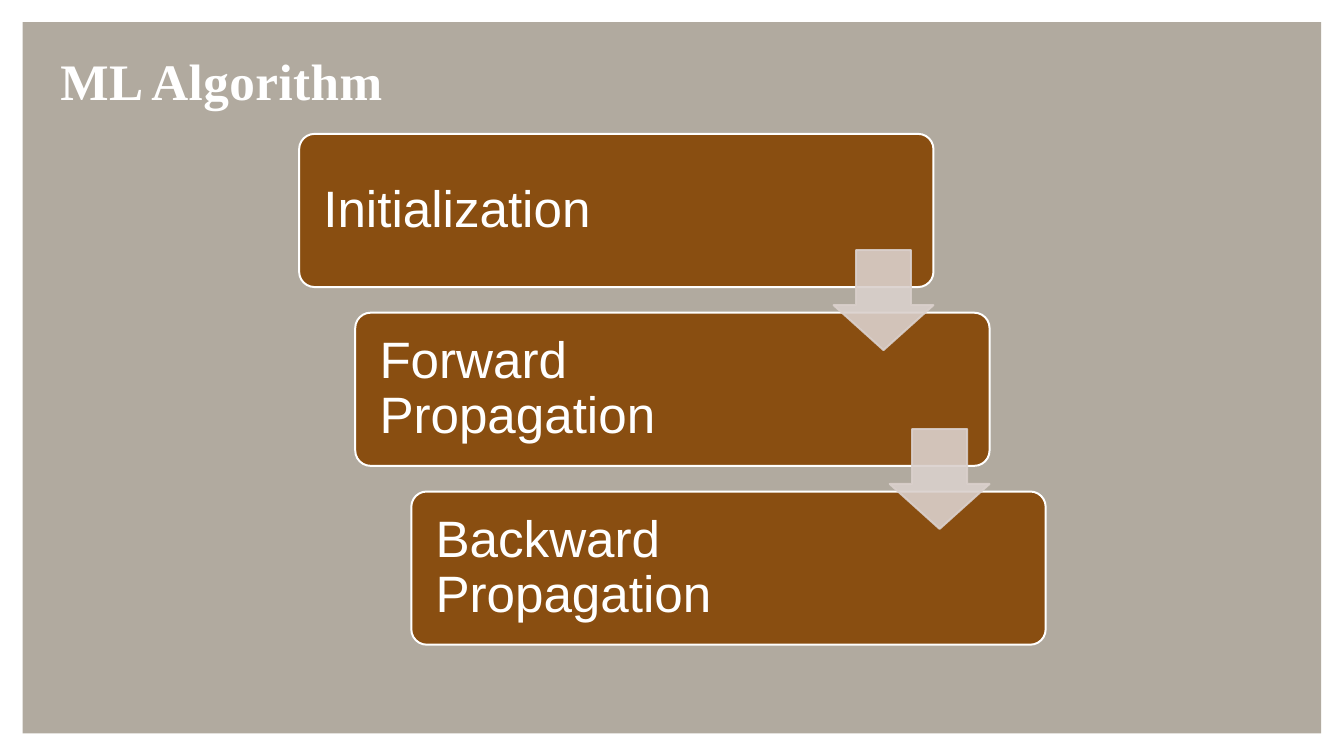
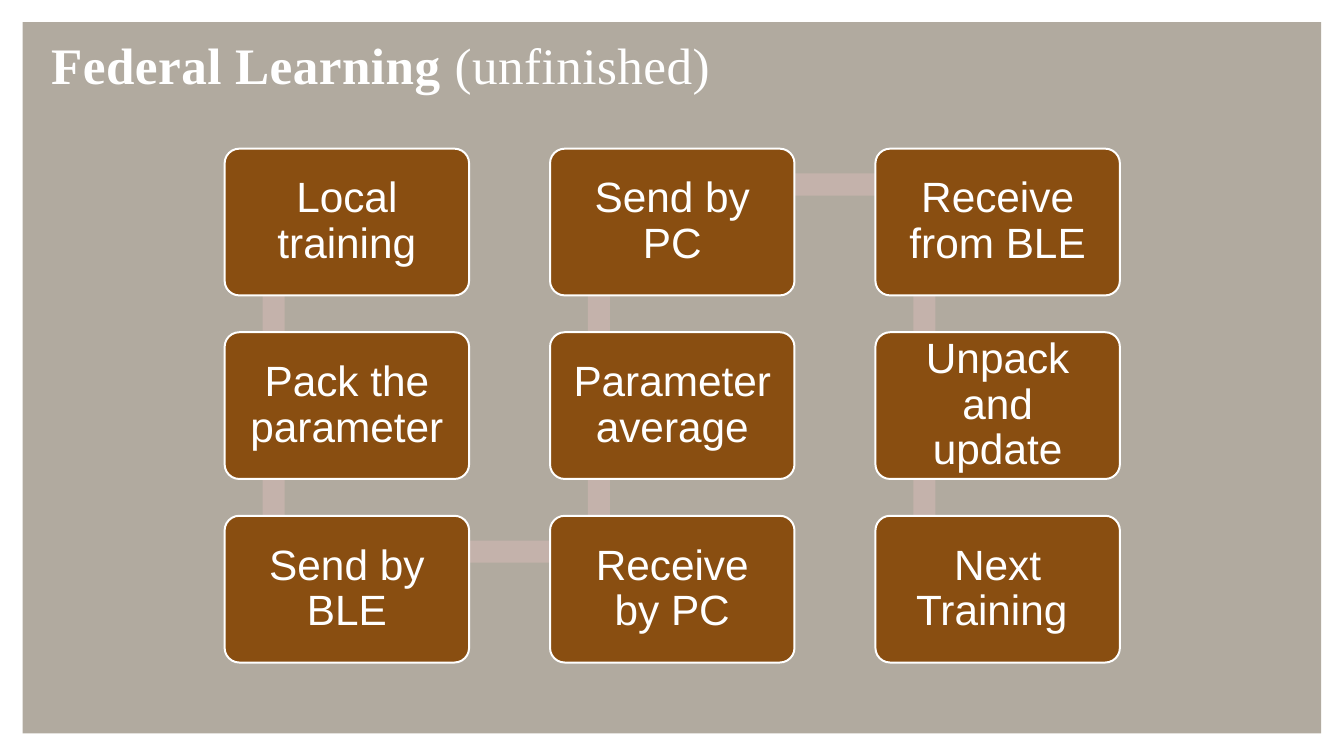
from itertools import pairwise

from lxml import etree
from pptx import Presentation
from pptx.dml.color import RGBColor
from pptx.enum import shapes, text
from pptx.oxml.ns import qn
from pptx.util import Cm, Pt

# Content
ALGORITHM_TITLE = [("ML Algorithm", True)]
ALGORITHM_STEPS = ["Initialization", "Forward Propagation", "Backward Propagation"]
LEARNING_TITLE = [("Federal Learning ", True), ("(unfinished)", False)]
LEARNING_STEPS = [
    "Local training", "Pack the parameter", "Send by BLE",
    "Receive by PC", "Parameter average", "Send by PC",
    "Receive from BLE", "Unpack and update", "Next Training ",
]

# Shared style
WHITE = RGBColor(0xFF, 0xFF, 0xFF)
STONE = RGBColor(0xB1, 0xAA, 0x9F)
BROWN = RGBColor(0x89, 0x4E, 0x11)
ARROW = RGBColor(0xDA, 0xD0, 0xCC)
BAND = RGBColor(0xC4, 0xB2, 0xAB)
TITLE_FONT, BODY_FONT = "Times New Roman", "Arial"
TITLE_HEIGHT = 2.51

# Staircase (cm)
STAIR_LEFT, STAIR_TOP, STAIR_WIDTH, STAIR_HEIGHT = 10.72, 4.8, 22.73, 5.49
STAIR_DX, STAIR_DY = 2.01, 6.41
ARROW_SIZE, ARROW_DROP = 3.58, 4.17

# Snake grid (cm)
ROWS = 3
GRID_LEFT, GRID_TOP, CARD_WIDTH, CARD_HEIGHT = 8.05, 5.33, 8.76, 5.26
GRID_DX, GRID_DY = 11.66, 6.58
BAND_SIZE = 0.79


def add_block(slide, kind, left, top, width, height, fill, line=None):
    shape = slide.shapes.add_shape(kind, Cm(left), Cm(top), Cm(width), Cm(height))
    shape.shadow.inherit = False
    shape.fill.solid()
    shape.fill.fore_color.rgb = fill
    if line is None:
        shape.line.fill.background()
    else:
        shape.line.color.rgb = line
        shape.line.width = Pt(2)
    return shape


def add_card(slide, label, left, top, width, height, size, align, inset, right_inset):
    card = add_block(slide, shapes.MSO_SHAPE.ROUNDED_RECTANGLE,
                     left, top, width, height, BROWN, WHITE)
    card.adjustments[0] = 0.1
    frame = card.text_frame
    frame.word_wrap = True
    frame.vertical_anchor = text.MSO_ANCHOR.MIDDLE
    frame.margin_left, frame.margin_right = Cm(inset), Cm(right_inset)
    frame.margin_top = frame.margin_bottom = 0
    paragraph = frame.paragraphs[0]
    paragraph.text = label
    paragraph.alignment = align
    paragraph.line_spacing = 0.9
    paragraph.font.name = BODY_FONT
    paragraph.font.size = Pt(size)
    paragraph.font.color.rgb = WHITE


def add_title(slide, parts, left, top, width):
    box = slide.shapes.add_textbox(Cm(left), Cm(top), Cm(width), Cm(TITLE_HEIGHT))
    frame = box.text_frame
    frame.word_wrap = False
    frame.vertical_anchor = text.MSO_ANCHOR.MIDDLE
    frame.margin_left = frame.margin_right = Cm(0.15)
    frame.margin_top = frame.margin_bottom = Cm(0.15)
    paragraph = frame.paragraphs[0]
    paragraph.alignment = text.PP_ALIGN.CENTER
    for words, bold in parts:
        run = paragraph.add_run()
        run.text = words
        run.font.name = TITLE_FONT
        run.font.size = Pt(52)
        run.font.bold = bold
        run.font.color.rgb = WHITE
        run.font._element.set("spc", "50")


def add_panel(layout, slide):
    """Put the stone panel on the layout, so that every slide shows it."""
    panel = add_block(slide, shapes.MSO_SHAPE.RECTANGLE, 0.81, 0.79, 46.53, 25.5, STONE)
    layout.shapes.element.append(panel.element)


def add_arrow(slide, left, top):
    arrow = add_block(slide, shapes.MSO_SHAPE.DOWN_ARROW,
                      left, top, ARROW_SIZE, ARROW_SIZE, ARROW, ARROW)
    arrow.adjustments[0], arrow.adjustments[1] = 0.55, 0.45
    for color in arrow.element.spPr.iter(qn("a:srgbClr")):
        etree.SubElement(color, qn("a:alpha")).set("val", "90000")


def build_algorithm(slide):
    add_title(slide, ALGORITHM_TITLE, 1.5, 1.6, 12.88)
    corners = [(STAIR_LEFT + i * STAIR_DX, STAIR_TOP + i * STAIR_DY)
               for i in range(len(ALGORITHM_STEPS))]
    for label, (left, top) in zip(ALGORITHM_STEPS, corners):
        add_card(slide, label, left, top, STAIR_WIDTH, STAIR_HEIGHT,
                 52, text.PP_ALIGN.LEFT, 0.71, 6.35)
    # Arrows line up with the right edge of the step they leave
    for left, top in corners[:-1]:
        add_arrow(slide, left + STAIR_WIDTH - ARROW_SIZE, top + ARROW_DROP)


def build_learning(slide):
    add_title(slide, LEARNING_TITLE, 1.07, 1.04, 25.15)
    # Odd columns run upwards
    corners = []
    for i in range(len(LEARNING_STEPS)):
        column, row = divmod(i, ROWS)
        if column % 2:
            row = ROWS - 1 - row
        corners.append((GRID_LEFT + column * GRID_DX, GRID_TOP + row * GRID_DY))
    # Bands lie behind the cards
    for (left, top), (next_left, next_top) in pairwise(corners):
        if left == next_left:
            band = (left + 1.36, min(top, next_top) + 1.31, BAND_SIZE, GRID_DY)
        else:
            band = (left + 1.78, top + 0.89, GRID_DX, BAND_SIZE)
        add_block(slide, shapes.MSO_SHAPE.RECTANGLE, *band, BAND)
    for label, (left, top) in zip(LEARNING_STEPS, corners):
        add_card(slide, label, left, top, CARD_WIDTH, CARD_HEIGHT,
                 43, text.PP_ALIGN.CENTER, 0.61, 0.61)


def main():
    presentation = Presentation()
    presentation.slide_width, presentation.slide_height = Cm(48.16), Cm(27.1)
    blank = presentation.slide_layouts[6]
    algorithm, learning = (presentation.slides.add_slide(blank) for _ in range(2))
    add_panel(blank, algorithm)
    build_algorithm(algorithm)
    build_learning(learning)
    presentation.save("out.pptx")


if __name__ == "__main__":
    main()
